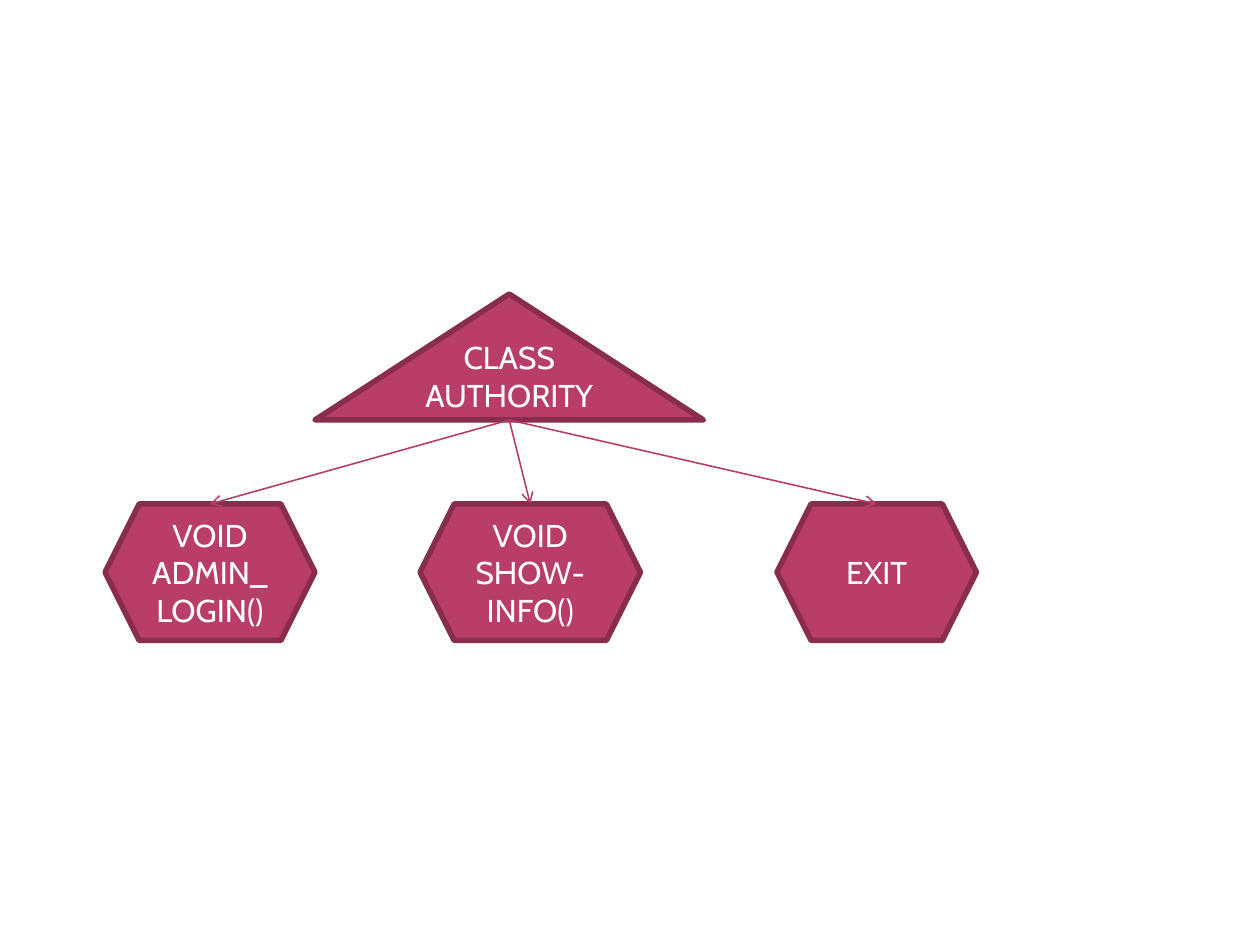
from dataclasses import dataclass

from lxml import etree
from pptx import Presentation
from pptx.dml.color import RGBColor
from pptx.enum import shapes, text
from pptx.oxml import ns
from pptx.util import Emu, Pt

PX = 914400 // 120


@dataclass(frozen=True)
class Theme:
    font: str = "Cabin"
    size: float = 18
    fill: str = "B83D68"
    outline: str = "882D4D"
    label: str = "FFFFFF"
    outline_width: float = 3.15
    arrow_width: float = 0.9


THEME = Theme()


def px(*lengths):
    return [Emu(length * PX) for length in lengths]


def add_node(page, preset, box, label, anchor=text.MSO_ANCHOR.MIDDLE):
    node = page.shapes.add_shape(preset, *px(*box))
    node.shadow.inherit = False
    node.fill.solid()
    node.fill.fore_color.rgb = RGBColor.from_string(THEME.fill)
    node.line.color.rgb = RGBColor.from_string(THEME.outline)
    node.line.width = Pt(THEME.outline_width)
    frame = node.text_frame
    frame.word_wrap = True
    frame.vertical_anchor = anchor
    para = frame.paragraphs[0]
    para.text = label
    para.alignment = text.PP_ALIGN.CENTER
    para.font.name = THEME.font
    para.font.size = Pt(THEME.size)
    para.font.color.rgb = RGBColor.from_string(THEME.label)


def add_arrow(page, start, end):
    arrow = page.shapes.add_connector(shapes.MSO_CONNECTOR.STRAIGHT, *px(*start, *end))
    arrow.line.color.rgb = RGBColor.from_string(THEME.fill)
    arrow.line.width = Pt(THEME.arrow_width)
    etree.SubElement(arrow.line._get_or_add_ln(), ns.qn("a:tailEnd"), type="arrow")
    etree.SubElement(arrow._element.spPr, ns.qn("a:effectLst"))


def add_class_tree(page, box):
    left, top, width, height = box
    root_height, member_height = 120, 130
    root_left, root_width = left + 200, 370
    member_top = top + height - member_height
    add_node(page, shapes.MSO_SHAPE.ISOSCELES_TRIANGLE,
             (root_left, top, root_width, root_height), "CLASS AUTHORITY",
             text.MSO_ANCHOR.BOTTOM)

    base = (root_left + root_width // 2, top + root_height)
    members = [
        ("VOID ADMIN_LOGIN()", 0, 200),
        ("VOID SHOW-INFO()", 300, 210),
        ("EXIT", 640, width - 640),
    ]
    for label, offset, member_width in members:
        member_left = left + offset
        add_node(page, shapes.MSO_SHAPE.HEXAGON,
                 (member_left, member_top, member_width, member_height), label)
        add_arrow(page, base, (member_left + member_width // 2, member_top))


def main():
    deck = Presentation()
    deck.slide_width, deck.slide_height = px(1200, 900)
    page = deck.slides.add_slide(deck.slide_layouts.get_by_name("Blank"))
    add_class_tree(page, (100, 280, 830, 330))
    deck.save("out.pptx")


if __name__ == "__main__":
    main()
